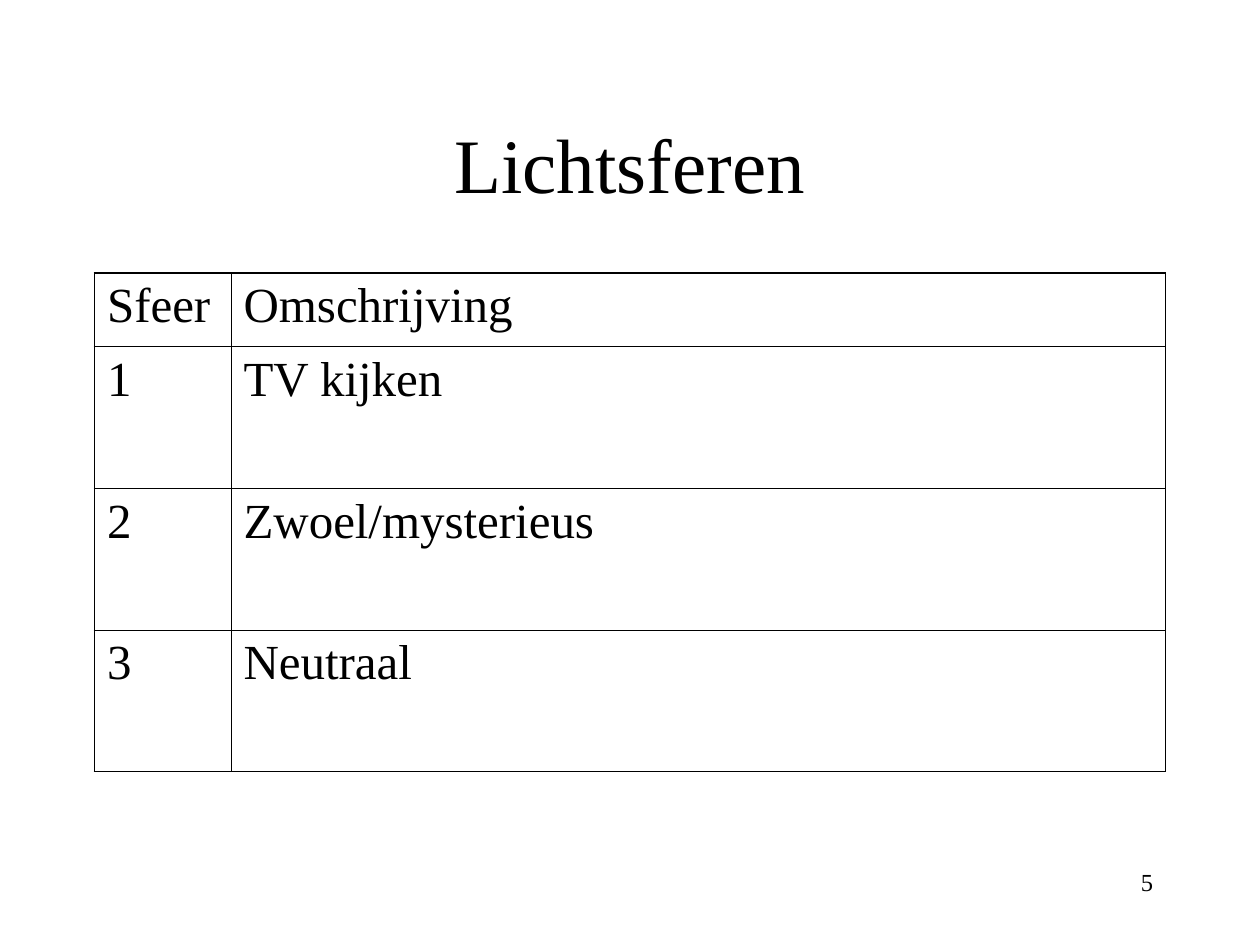
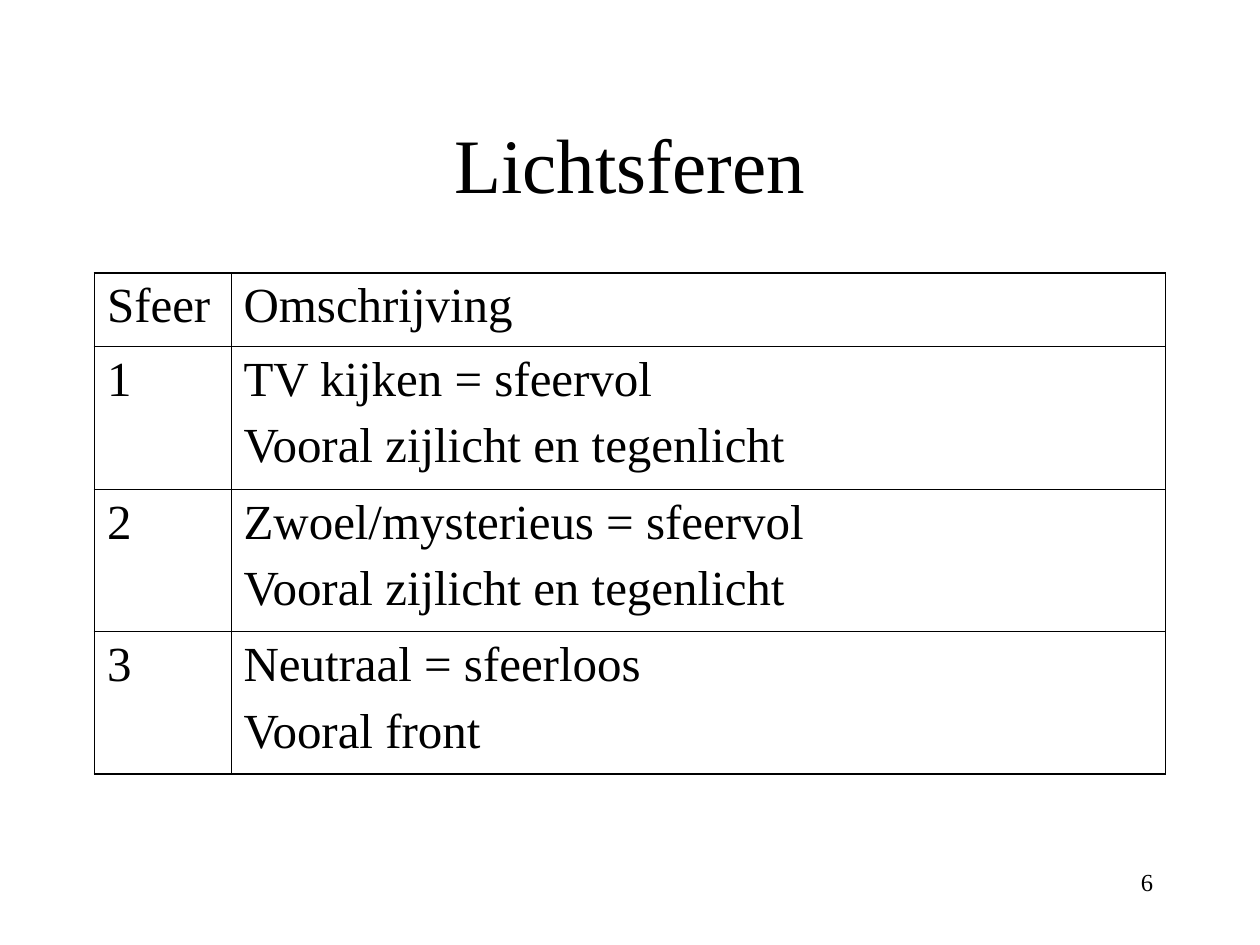
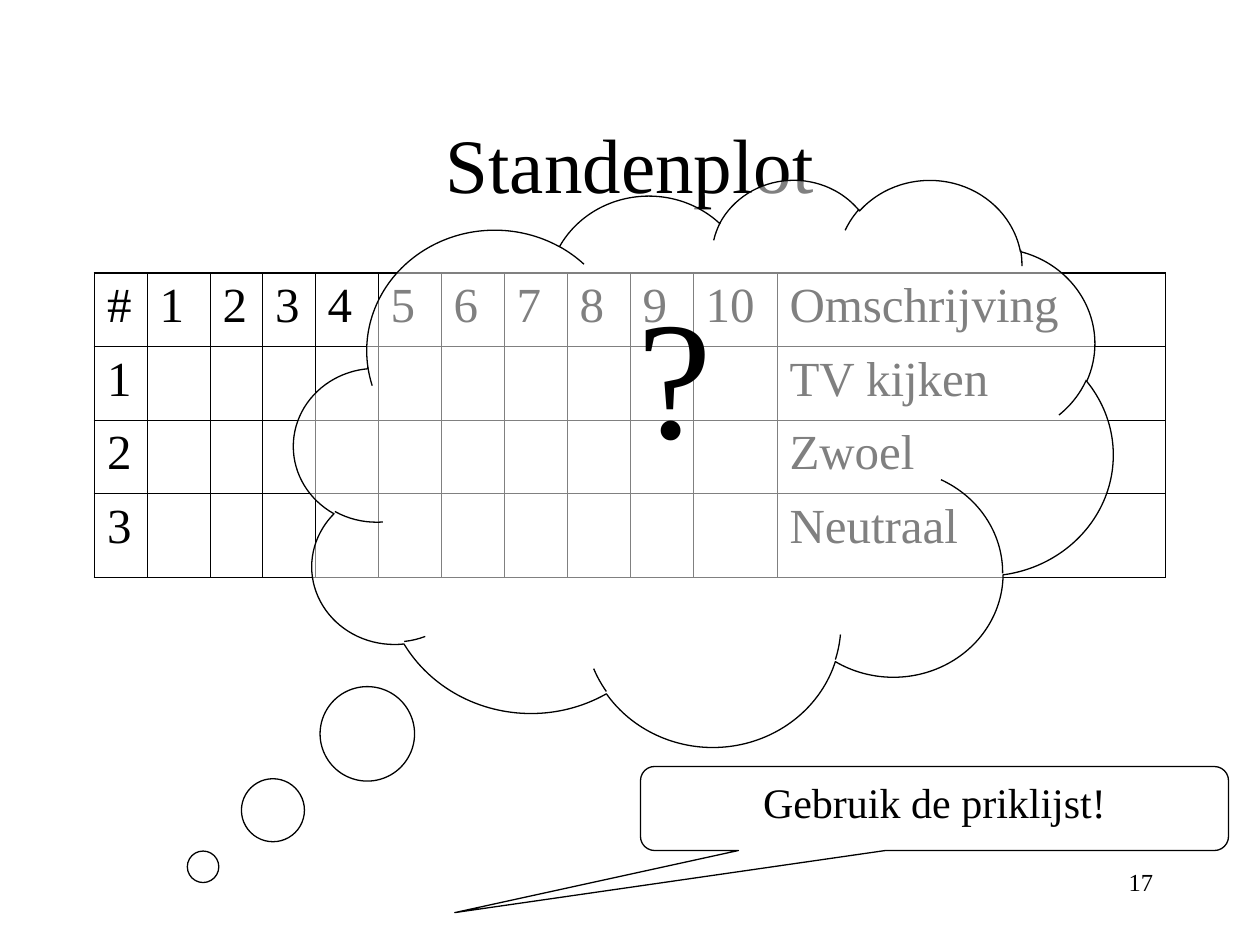
from lxml.etree import SubElement
from pptx import Presentation
from pptx.dml.color import RGBColor
from pptx.enum.shapes import MSO_SHAPE as Shape
from pptx.enum.text import MSO_ANCHOR as Anchor, PP_ALIGN as Align
from pptx.oxml import parse_xml
from pptx.oxml.ns import nsdecls, qn
from pptx.util import Inches, Pt

COLOURS = {"ink": "000000", "paper": "FFFFFF"}
FONT = "Times New Roman"
INK = RGBColor.from_string(COLOURS["ink"])
PAPER = RGBColor.from_string(COLOURS["paper"])
UNIT = Inches(10) // 120
OUTER, INNER = Pt(1.08), Pt(0.45)

presentation = Presentation()
presentation.slide_width = 120 * UNIT
presentation.slide_height = 90 * UNIT


def write(frame, lines, size, align=Align.LEFT, anchor=Anchor.TOP):
    frame.word_wrap = True
    frame.vertical_anchor = anchor
    for index, line in enumerate(lines):
        paragraph = frame.add_paragraph() if index else frame.paragraphs[0]
        paragraph.alignment = align
        if index:
            paragraph.space_before = Pt(size / 4)
        run = paragraph.add_run()
        run.text = line
        run.font.name = FONT
        run.font.size = Pt(size)
        run.font.color.rgb = INK


def grid(units):
    return [unit * UNIT for unit in units]


moods = ["TV kijken", "Zwoel/mysterieus", "Neutraal"]
side_light = "Vooral zijlicht en tegenlicht"
details = [
    ["TV kijken = sfeervol", side_light],
    ["Zwoel/mysterieus = sfeervol", side_light],
    ["Neutraal = sfeerloos", "Vooral front"],
]
mood_header = [["Sfeer"], ["Omschrijving"]]
plot_header = [["#"], *[[str(channel)] for channel in range(1, 11)], ["Omschrijving"]]
plot_moods = ["TV kijken", "Zwoel", "Neutraal"]

pages = [
    ("Lichtsferen", "5", [13, 89], [7, 13.5, 13.5, 13.5],
     [mood_header] + [[[str(n)], [mood]] for n, mood in enumerate(moods, 1)]),
    ("Lichtsferen", "6", [13, 89], [7, 13.5, 13.5, 13.5],
     [mood_header] + [[[str(n)], lines] for n, lines in enumerate(details, 1)]),
    ("Standenplot", "17", [5, 6, 5, 5] + [6] * 6 + [8, 37], [7, 7, 7, 8],
     [plot_header] + [[[str(n)]] + [[]] * 10 + [[mood]]
                      for n, mood in enumerate(plot_moods, 1)]),
]
callouts = [
    (Shape.CLOUD_CALLOUT, (28, 17, 78, 54), (-0.611, 0.714), 50, "?", 96),
    (Shape.ROUNDED_RECTANGULAR_CALLOUT, (61, 73, 56, 8), (-0.816, 1.24, 0.167), 100,
     "Gebruik de priklijst!", 24),
]

for title, number, widths, heights, rows in pages:
    slide = presentation.slides.add_slide(presentation.slide_layouts[6])
    title_box = slide.shapes.add_textbox(*grid((9, 8, 102, 15)))
    write(title_box.text_frame, [title], 44, Align.CENTER, Anchor.MIDDLE)

    table = slide.shapes.add_table(
        len(rows), len(widths), *grid((9, 26, sum(widths), int(sum(heights))))).table
    table.first_row = table.horz_banding = False
    for column, width in zip(table.columns, widths):
        column.width = width * UNIT
    for row, height in zip(table.rows, heights):
        row.height = int(height * UNIT)
    for r, row in enumerate(rows):
        for c, lines in enumerate(row):
            cell = table.cell(r, c)
            cell.fill.background()
            write(cell.text_frame, lines, 28)
            cell_properties = cell._tc.get_or_add_tcPr()
            edges = {"L": c == 0, "R": c == len(row) - 1,
                     "T": r == 0, "B": r == len(rows) - 1}
            for position, (side, is_outer) in enumerate(edges.items()):
                cell_properties.insert(position, parse_xml(
                    f'<a:ln{side} {nsdecls("a")} w="{OUTER if is_outer else INNER}">'
                    f'<a:solidFill><a:srgbClr val="{COLOURS["ink"]}"/></a:solidFill>'
                    f'</a:ln{side}>'))

    if title == "Standenplot":
        for kind, area, adjustments, opacity, text, size in callouts:
            callout = slide.shapes.add_shape(kind, *grid(area))
            callout.shadow.inherit = False
            for index, value in enumerate(adjustments):
                callout.adjustments[index] = value
            callout.fill.solid()
            callout.fill.fore_color.rgb = PAPER
            callout.line.color.rgb = INK
            callout.line.width = Pt(0.75)
            if opacity < 100:
                colour = callout._element.spPr.find(qn("a:solidFill"))[0]
                SubElement(colour, qn("a:alpha"), val=str(opacity * 1000))
            write(callout.text_frame, [text], size, Align.CENTER)

    number_box = slide.shapes.add_textbox(*grid((86, 82, 25, 6)))
    write(number_box.text_frame, [number], 14, Align.RIGHT)

presentation.save("out.pptx")
